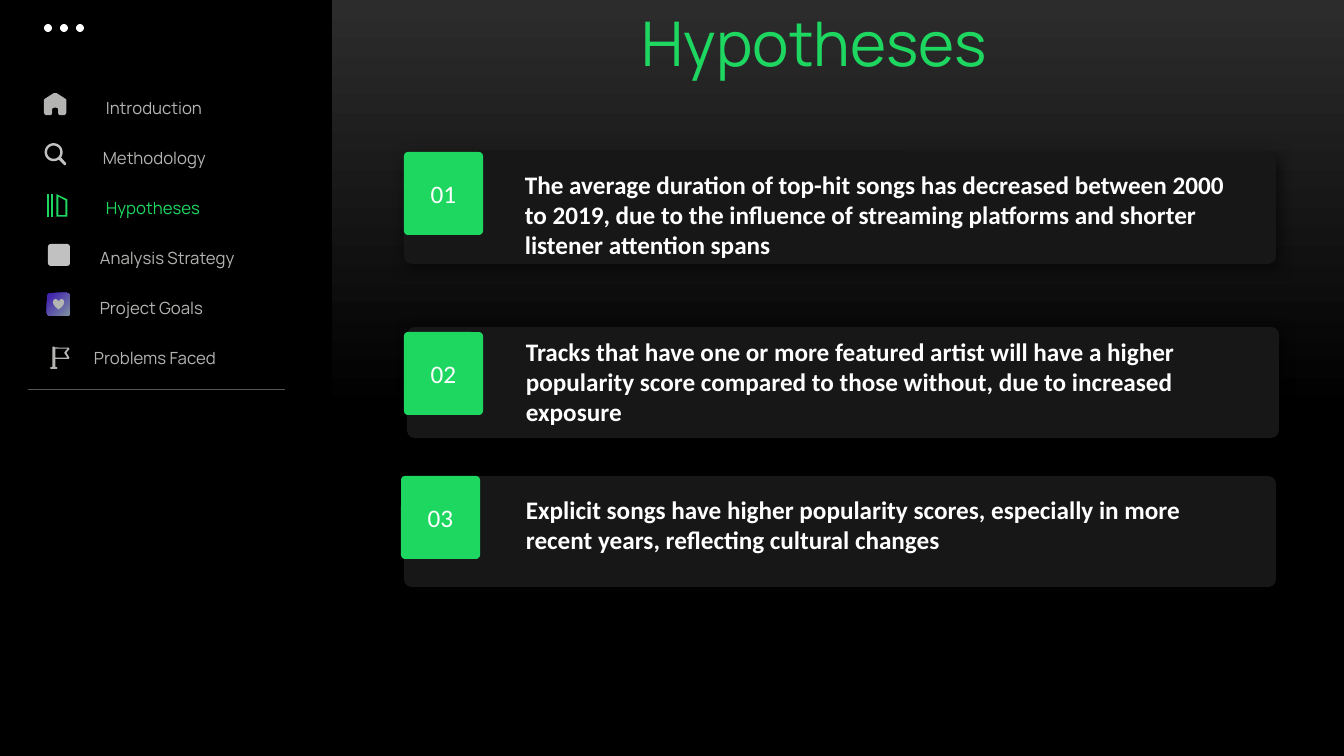
from math import cos, radians, sin

from lxml import etree
from pptx import Presentation
from pptx import util as u
from pptx.dml.color import RGBColor
from pptx.enum import shapes, text
from pptx.oxml.ns import qn

PX = 12192000 / 1344  # EMU in one px
GREEN, WHITE, BLACK = "1ED760", "FFFFFF", "000000"
GREY, LIGHT_GREY, CARD = "B4B5B2", "C1C1C1", "171717"


def px(length):
    return u.Emu(round(length * PX))


def color(value):
    return RGBColor.from_string(value)


class Deck:
    heading_font = "Manrope"
    body_font = "Calibri"

    def __init__(self, presentation):
        self.slide = presentation.slides.add_slide(presentation.slide_layouts[6])
        self.shapes = self.slide.shapes

    def group(self):
        return self.shapes.add_group_shape().shapes

    def gradient(self, fill, stops, angle):
        fill.gradient()
        fill.gradient_angle = angle
        for stop, (position, value) in zip(fill.gradient_stops, stops):
            stop.position = position
            stop.color.rgb = color(value)

    def paint(self, shape, fill):
        shape.shadow.inherit = False
        shape.line.fill.background()
        if fill:
            shape.fill.solid()
            shape.fill.fore_color.rgb = color(fill)

    def box(self, kind, left, top, width, height, fill, radius=None, group=None):
        shape = (group or self.shapes).add_shape(
            kind, px(left), px(top), px(width), px(height))
        self.paint(shape, fill)
        if radius:
            shape.adjustments[0] = radius
        return shape

    def rounded(self, *args, **kwargs):
        return self.box(shapes.MSO_SHAPE.ROUNDED_RECTANGLE, *args, **kwargs)

    def drop_shadow(self, shape):
        effects = shape.element.spPr.find(qn("a:effectLst"))
        shadow = etree.SubElement(
            effects, qn("a:outerShdw"), blurRad=str(u.Pt(10)),
            dist=str(u.Pt(3)), dir=str(45 * 60000), rotWithShape="0")
        rgb = etree.SubElement(shadow, qn("a:srgbClr"), val=BLACK)
        etree.SubElement(rgb, qn("a:alpha"), val="60000")

    def set_text(self, frame, words, font, size, value, bold=False):
        paragraph = frame.paragraphs[0]
        paragraph.text = words
        paragraph.font.name = font
        paragraph.font.size = u.Pt(size)
        paragraph.font.bold = bold
        paragraph.font.color.rgb = color(value)
        return paragraph

    def label(self, words, left, top, width, height, font, size, value,
              bold=False, wrap=False):
        frame = self.shapes.add_textbox(
            px(left), px(top), px(width), px(height)).text_frame
        frame.word_wrap = wrap
        frame.auto_size = text.MSO_AUTO_SIZE.SHAPE_TO_FIT_TEXT
        self.set_text(frame, words, font, size, value, bold)

    def icon(self, left, top, fill, *contours, group=None):
        """Draw closed contours given in tenths of a px from left, top."""
        first, *others = contours
        builder = (group or self.shapes).build_freeform(*first[0], scale=PX / 10)
        builder.add_line_segments(first[1:], close=True)
        for contour in others:
            builder.move_to(*contour[0])
            builder.add_line_segments(contour[1:], close=True)
        self.paint(builder.convert_to_shape(px(left), px(top)), fill)

    def rule(self, left, right, top, value, weight):
        line = self.shapes.add_connector(
            shapes.MSO_CONNECTOR.STRAIGHT, px(left), px(top), px(right), px(top))
        line.line.color.rgb = color(value)
        line.line.width = u.Pt(weight)
        etree.SubElement(line.element.spPr, qn("a:effectLst"))


def mirrored(half, axis):
    """Complete an outline that is symmetric about a vertical axis."""
    return half + [(2 * axis - x, y) for x, y in reversed(half)]


def arc(center_x, center_y, radius, start, end):
    return [(round(center_x + radius * cos(radians(angle))),
             round(center_y + radius * sin(radians(angle))))
            for angle in range(start, end + 1, 10)]


# Icon outlines
HOME = mirrored([(112, 0), (95, 3), (10, 57), (0, 68), (0, 195), (5, 212),
                 (22, 222), (62, 222), (76, 216), (82, 202), (82, 160),
                 (90, 150), (112, 146)], 112)
LENS = arc(97, 92, 90, 55, 395) + [(223, 203), (223, 213), (212, 223), (203, 222)]
LENS_HOLE = arc(97, 92, 66, 0, 350)
BARS = [[(x, 5), (x + 20, 5), (x + 20, 227), (x, 227)] for x in (4, 44)]
BOOK = [(94, 5), (105, 5), (205, 55), (205, 227), (94, 227)]
BOOK_HOLE = [(114, 25), (185, 65), (185, 212), (114, 212)]
HEART = mirrored([(56, 24), (40, 5), (20, 0), (5, 12), (0, 33), (6, 55),
                  (25, 80), (56, 105)], 56)
FLAG = [(24, 10), (40, 5), (52, 15), (190, 18), (195, 30), (165, 68), (195, 118),
        (188, 129), (54, 129), (54, 210), (70, 212), (72, 228), (4, 228),
        (4, 212), (24, 210)]
FLAG_HOLE = [(54, 28), (175, 28), (145, 62), (145, 74), (175, 118), (54, 118)]

# Menu: words, left, width
MENU = [("Introduction", 96, 125), ("Methodology", 93, 150),
        ("Hypotheses", 96, 121), ("Analysis Strategy", 90, 168),
        ("Project Goals", 90, 132), ("Problems Faced", 84, 157)]

# Hypotheses: card left and top, number left and top, text left, top, width, height
HYPOTHESES = [
    ((404, 153), (404, 152), (515, 164, 736, 102),
     "The average duration of top-hit songs has decreased between 2000 to 2019, "
     "due to the influence of streaming platforms and shorter listener attention spans"),
    ((407, 327), (404, 332), (516, 331, 725, 102),
     "Tracks that have one or more featured artist will have a higher popularity "
     "score compared to those without, due to increased exposure"),
    ((404, 476), (401, 476), (516, 489, 690, 72),
     "Explicit songs have higher popularity scores, especially in more recent "
     "years, reflecting cultural changes"),
]


def main():
    presentation = Presentation()
    presentation.slide_width, presentation.slide_height = px(1344), px(756)
    deck = Deck(presentation)
    deck.gradient(deck.slide.background.fill, [(0, "2C2C2C"), (0.55, BLACK)], 270)

    # Sidebar with window dots
    deck.box(shapes.MSO_SHAPE.RECTANGLE, 0, 0, 332, 756, BLACK)
    dots = deck.group()
    for left in (44, 60, 76):
        deck.box(shapes.MSO_SHAPE.OVAL, left, 24, 8, 8, WHITE, group=dots)

    # Title
    deck.label("Hypotheses", 632, 0, 389, 85, deck.heading_font, 44, GREEN)

    # Menu words
    for row, (words, left, width) in enumerate(MENU):
        deck.label(words, left, 93 + 50 * row, width, 30, deck.heading_font, 12,
                   GREEN if words == "Hypotheses" else GREY)

    # Menu icons
    deck.icon(44, 93, GREY, HOME)
    deck.icon(44, 143, LIGHT_GREY, LENS, LENS_HOLE)
    library = deck.group()
    for contours in ([BARS[0]], [BARS[1]], [BOOK, BOOK_HOLE]):
        deck.icon(47, 194, GREEN, *contours, group=library)
    deck.rounded(48, 244, 22, 22, LIGHT_GREY, radius=0.13)
    goals = deck.group()
    tile = deck.rounded(47, 293, 23, 23, None, radius=0.13, group=goals)
    deck.gradient(tile.fill, [(0.11, "4224B0"), (1, "7F93A0")], 315)
    deck.icon(53, 299, GREY, HEART, group=goals)
    deck.icon(50, 346, GREY, FLAG, FLAG_HOLE)
    deck.rule(28, 285, 389, "555554", 0.5)

    # Hypothesis cards
    for number, (card, badge, area, words) in enumerate(HYPOTHESES, 1):
        deck.drop_shadow(deck.rounded(*card, 872, 111, CARD, radius=0.07))
        frame = deck.rounded(*badge, 79, 83, GREEN, radius=0.05).text_frame
        frame.vertical_anchor = text.MSO_ANCHOR.MIDDLE
        paragraph = deck.set_text(frame, f"{number:02}", deck.body_font, 18, WHITE)
        paragraph.alignment = text.PP_ALIGN.CENTER
        deck.label(words, *area, deck.body_font, 18, WHITE, bold=True, wrap=True)

    presentation.save("out.pptx")


if __name__ == "__main__":
    main()
